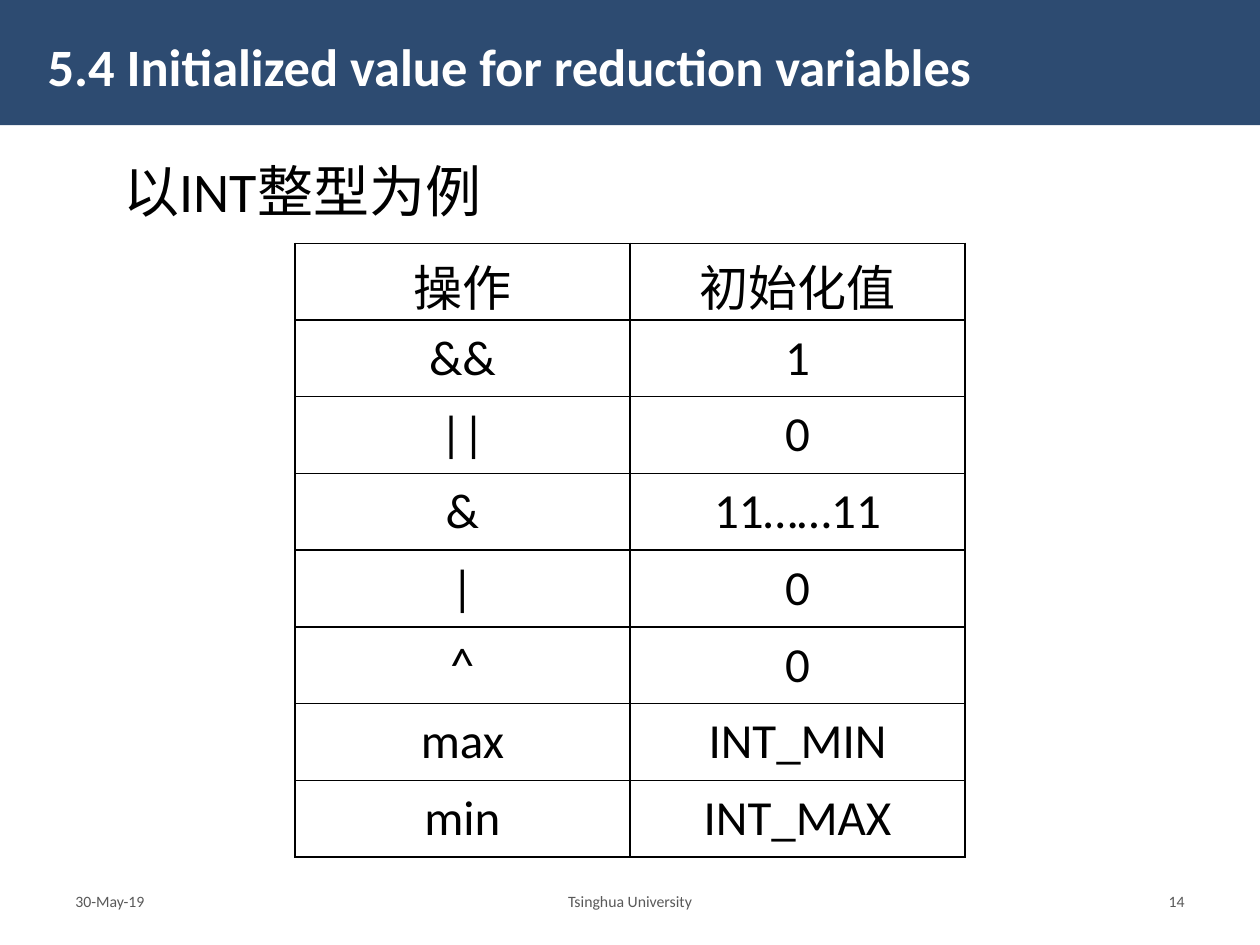
from lxml import etree
from pptx import Presentation, util as u
from pptx.dml.color import RGBColor
from pptx.enum import shapes, text
from pptx.oxml.ns import qn

COLORS = {"band": "2D4B71", "title": "FFFFFF", "body": "000000", "footer": "595959"}
LEFT, CENTER, RIGHT = text.PP_ALIGN.LEFT, text.PP_ALIGN.CENTER, text.PP_ALIGN.RIGHT
MIDDLE, TOP = text.MSO_ANCHOR.MIDDLE, text.MSO_ANCHOR.TOP

INITIAL_VALUES = [
    ("操作", "初始化值"),
    ("&&", "1"),
    ("||", "0"),
    ("&", "11……11"),
    ("|", "0"),
    ("^", "0"),
    ("max", "INT_MIN"),
    ("min", "INT_MAX"),
]


class SlideBuilder:
    font_name = "Calibri"
    border_width = 1

    def __init__(self, presentation):
        self.slide = presentation.slides.add_slide(presentation.slide_layouts[5])

    def add_words(self, frame, words, size, color, align=LEFT, bold=False):
        paragraph = frame.paragraphs[0]
        paragraph.alignment = align
        run = paragraph.add_run()
        run.text = words
        formats = {"name": self.font_name, "size": u.Pt(size), "bold": bold}
        for name, value in formats.items():
            setattr(run.font, name, value)
        run.font.color.rgb = RGBColor.from_string(COLORS[color])
        return paragraph

    def title(self, words, box, size):
        title = self.slide.shapes.title
        for name, value in zip(("left", "top", "width", "height"), box):
            setattr(title, name, u.Pt(value))
        title.text_frame.word_wrap = True
        title.text_frame.vertical_anchor = MIDDLE
        self.add_words(title.text_frame, words, size, "title", bold=True)

    def band(self, box):
        """Draw the coloured strip behind the title."""
        band = self.slide.shapes.add_shape(shapes.MSO_SHAPE.RECTANGLE, *map(u.Pt, box))
        band.shadow.inherit = False
        band.fill.solid()
        band.fill.fore_color.rgb = RGBColor.from_string(COLORS["band"])
        band.line.fill.background()
        self.slide.shapes.title.element.addprevious(band.element)

    def textbox(self, words, box, size, color, align=LEFT, anchor=TOP, indent=0):
        frame = self.slide.shapes.add_textbox(*map(u.Pt, box)).text_frame
        frame.word_wrap = True
        frame.vertical_anchor = anchor
        paragraph = self.add_words(frame, words, size, color, align)
        if indent:
            paragraph._p.get_or_add_pPr().set("indent", str(u.Pt(indent)))

    def border(self, cell):
        properties = cell._tc.get_or_add_tcPr()
        for position, side in enumerate(("lnL", "lnR", "lnT", "lnB")):
            line = etree.Element(qn(f"a:{side}"), w=str(u.Pt(self.border_width)))
            fill = etree.SubElement(line, qn("a:solidFill"))
            etree.SubElement(fill, qn("a:srgbClr"), val=COLORS["body"])
            properties.insert(position, line)

    def table(self, rows, box, size):
        frame = self.slide.shapes.add_table(len(rows), len(rows[0]), *map(u.Pt, box))
        table = frame.table
        table.first_row = table.horz_banding = False
        for row, values in enumerate(rows):
            for column, value in enumerate(values):
                cell = table.cell(row, column)
                cell.vertical_anchor = MIDDLE
                cell.fill.background()
                self.border(cell)
                self.add_words(cell.text_frame, value, size, "body", CENTER)


def main():
    presentation = Presentation()
    presentation.slide_width, presentation.slide_height = u.Pt(720), u.Pt(540)
    builder = SlideBuilder(presentation)
    builder.band((0, 0, 720, 71.5))
    builder.title("5.4 Initialized value for reduction variables", (20, 7.5, 680, 60), 30)
    builder.textbox("以INT整型为例", (27.5, 86, 664.5, 46), 32, "body", indent=36)
    builder.table(INITIAL_VALUES, (168.5, 139, 383, 351), 28)
    footers = [
        ("30-May-19", 36, 86, LEFT),
        ("Tsinghua University", 133, 454, CENTER),
        ("14", 598, 86, RIGHT),
    ]
    for words, left, width, align in footers:
        builder.textbox(words, (left, 500.5, width, 29), 9, "footer", align, MIDDLE)
    presentation.save("out.pptx")


if __name__ == "__main__":
    main()
